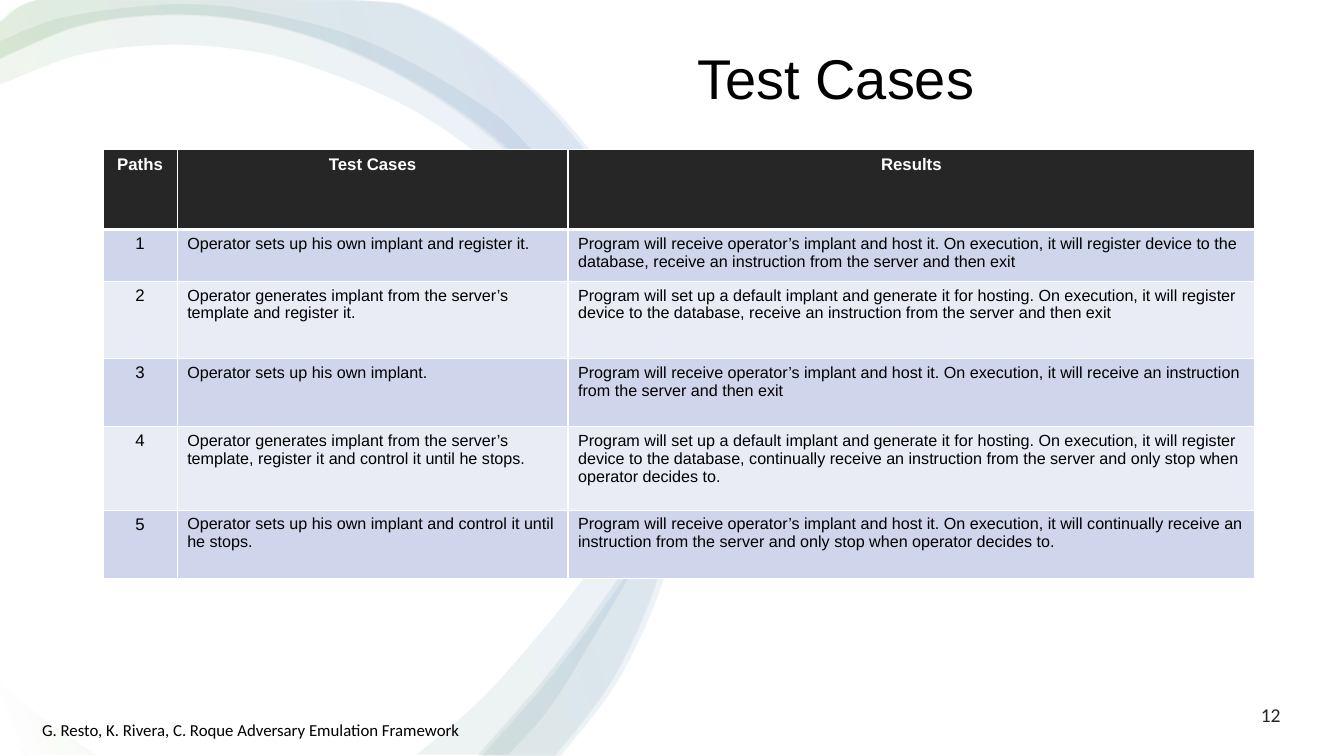
"""Build the test cases slide: a results table over pale curved ribbons."""
from lxml.etree import SubElement
from pptx import Presentation
from pptx.dml.color import RGBColor
from pptx.enum.shapes import MSO_SHAPE
from pptx.enum.text import MSO_ANCHOR, MSO_AUTO_SIZE, PP_ALIGN
from pptx.oxml.ns import qn
from pptx.util import Pt

WHITE = RGBColor(0xFF, 0xFF, 0xFF)
BLACK = RGBColor(0x00, 0x00, 0x00)
CHARCOAL = RGBColor(0x26, 0x26, 0x26)
BLUE_BAND = RGBColor(0xCF, 0xD5, 0xEA)
PALE_BAND = RGBColor(0xE9, 0xEB, 0xF5)
GREEN = RGBColor(0x70, 0xAD, 0x47)
BLUE = RGBColor(0x44, 0x72, 0xC4)

SLIDE_WIDTH, SLIDE_HEIGHT = 960, 540
TITLE = "Test Cases"
FOOTER = "G. Resto, K. Rivera, C. Roque Adversary Emulation Framework"
PAGE_NUMBER = "12"
HEADER = ("Paths", "Test Cases", "Results")
CASES = [
    ("Operator sets up his own implant and register it.",
     "Program will receive operator’s implant and host it. On execution, it will register device to the "
     "database, receive an instruction from the server and then exit"),
    ("Operator generates implant from the server’s template and register it.",
     "Program will set up a default implant and generate it for hosting. On execution, it will register "
     "device to the database, receive an instruction from the server and then exit"),
    ("Operator sets up his own implant.",
     "Program will receive operator’s implant and host it. On execution, it will receive an instruction "
     "from the server and then exit"),
    ("Operator generates implant from the server’s template, register it and control it until he stops.",
     "Program will set up a default implant and generate it for hosting. On execution, it will register "
     "device to the database, continually receive an instruction from the server and only stop when "
     "operator decides to."),
    ("Operator sets up his own implant and control it until he stops.",
     "Program will receive operator’s implant and host it. On execution, it will continually receive an "
     "instruction from the server and only stop when operator decides to."),
]
COLUMN_WIDTHS = (53, 279.2, 490.5)
ROW_HEIGHTS = (56.9, 37.1, 55.2, 48.6, 59.8, 48.6)

GRADIENT_STOPS = ((2, WHITE), (16, GREEN), (85, BLUE), (100, WHITE))
RIBBON_OPACITY = 10
INNER_RIBBON = {
    "outer": [(0, 29.5), (47, 12), (122, 3), (166, 5), (254, 26.5), (333, 68), (379, 107),
              (449, 203), (468, 260), (474.5, 320), (464, 380), (421, 459), (390, 508), (362, 539)],
    "inner": [(0, 60.5), (54, 40), (108, 32.5), (163, 34.5), (217, 46), (293.5, 78), (361, 126),
              (399, 167), (428.5, 213), (448.5, 264), (456.5, 320), (443.5, 371.5), (413, 417),
              (377, 461.5), (340, 502), (296.5, 539)],
    "corner": [(0, 487.5), (31, 512.5), (68.5, 539), (0, 539)],
}
OUTER_RIBBON = {
    "outer": [(0, 16), (30, 0), (115, 0), (200, 0), (283.5, 3), (365, 53), (429, 124.5),
              (470.5, 212), (485.5, 312), (473.5, 399.5), (440, 481), (396.5, 540)],
    "inner": [(0, 42.5), (55.5, 19.5), (112.5, 11.5), (169, 14.5), (224.5, 28), (277, 50.5),
              (326, 80.5), (371.5, 118), (410.5, 162), (440.5, 212.5), (461, 268.5), (467.5, 328.5),
              (456, 386), (425, 436.5), (388, 485.5), (340.5, 540)],
    "corner": [(0, 523.5), (20, 540), (0, 540)],
}
RIBBONS = ((INNER_RIBBON, 1), (OUTER_RIBBON, 1), (OUTER_RIBBON, 1.01))


def round_edge(nodes):
    """Turn the straight segments between an edge's nodes into smooth curves."""
    points = [(int(node[0].get("x")), int(node[0].get("y"))) for node in nodes]
    padded = [points[0], *points, points[-1]]
    for node, a, b, c, d in zip(nodes[1:], padded, padded[1:], padded[2:], padded[3:]):
        first = [q + (r - p) / 6 for p, q, r in zip(a, b, c)]
        second = [r - (s - q) / 6 for q, r, s in zip(b, c, d)]
        curve = node.makeelement(qn("a:cubicBezTo"))
        for x, y in (first, second, c):
            SubElement(curve, qn("a:pt"), x=str(round(x)), y=str(max(round(y), 0)))
        node.getparent().replace(node, curve)


def add_ribbon(shapes, ribbon, stretch):
    """Draw one curved ribbon with its corner piece."""
    outer_count = len(ribbon["outer"])
    outlines = [
        [(Pt(x * stretch), Pt(y)) for x, y in outline]
        for outline in (ribbon["outer"] + ribbon["inner"][::-1], ribbon["corner"])
    ]
    band, corner = outlines
    builder = shapes.build_freeform(*band[0], scale=1.0)
    builder.add_line_segments(band[1:], close=True)
    builder.move_to(*corner[0])
    builder.add_line_segments(corner[1:], close=True)
    shape = builder.convert_to_shape()
    nodes = list(next(shape._element.iter(qn("a:path"))))[:len(band)]
    round_edge(nodes[:outer_count])
    round_edge(nodes[outer_count:])
    shape.shadow.inherit = False
    shape.line.fill.background()
    shape.fill.gradient()
    shape.fill.gradient_angle = 20
    stop_list = next(shape._element.iter(qn("a:gsLst")))
    for stop in list(stop_list):
        stop_list.remove(stop)
    for position, color in GRADIENT_STOPS:
        stop = SubElement(stop_list, qn("a:gs"), pos=str(position * 1000))
        stop_color = SubElement(stop, qn("a:srgbClr"), val=str(color))
        SubElement(stop_color, qn("a:alpha"), val=str(RIBBON_OPACITY * 1000))


def format_text(paragraph, text, font_name, size, color, bold=False):
    """Write a paragraph and set its font."""
    paragraph.text = text
    font = paragraph.font
    font.name, font.size, font.bold = font_name, Pt(size), bold
    font.color.rgb = color


def add_label(slide, text, left, top, width, height, size, color, wrap):
    """Add a small line of text at the foot of the slide."""
    frame = slide.shapes.add_textbox(Pt(left), Pt(top), Pt(width), Pt(height)).text_frame
    frame.word_wrap = wrap
    frame.auto_size = MSO_AUTO_SIZE.SHAPE_TO_FIT_TEXT
    format_text(frame.paragraphs[0], text, "Calibri", size, color)


def set_borders(cell, top_width, bottom_width):
    """Give a cell white borders."""
    properties = cell._tc.get_or_add_tcPr()
    widths = (("lnL", 1), ("lnR", 1), ("lnT", top_width), ("lnB", bottom_width))
    for index, (side, width) in enumerate(widths):
        border = properties.makeelement(qn(f"a:{side}"), {"w": str(Pt(width))})
        fill = SubElement(border, qn("a:solidFill"))
        SubElement(fill, qn("a:srgbClr"), val=str(WHITE))
        properties.insert(index, border)


def add_case_table(slide):
    """Add the table of test cases."""
    rows = [HEADER] + [(str(number), *case) for number, case in enumerate(CASES, 1)]
    table = slide.shapes.add_table(
        len(rows), len(HEADER), Pt(73.6), Pt(107), Pt(sum(COLUMN_WIDTHS)), Pt(sum(ROW_HEIGHTS))
    ).table
    table.first_row = table.horz_banding = False
    for column, width in zip(table.columns, COLUMN_WIDTHS):
        column.width = Pt(width)
    for row_index, (texts, height) in enumerate(zip(rows, ROW_HEIGHTS)):
        table.rows[row_index].height = Pt(height)
        is_header = row_index == 0
        band = CHARCOAL if is_header else (PALE_BAND, BLUE_BAND)[row_index % 2]
        for column_index, text in enumerate(texts):
            cell = table.cell(row_index, column_index)
            cell.fill.solid()
            cell.fill.fore_color.rgb = band
            set_borders(cell, 3 if row_index == 1 else 1, 3 if is_header else 1)
            centered = is_header or column_index == 0
            paragraph = cell.text_frame.paragraphs[0]
            paragraph.alignment = PP_ALIGN.CENTER if centered else PP_ALIGN.LEFT
            format_text(paragraph, text, "Arial", 12 if centered else 11.5,
                        WHITE if is_header else BLACK, is_header)


def main():
    """Build and save the slide."""
    presentation = Presentation()
    presentation.slide_width, presentation.slide_height = Pt(SLIDE_WIDTH), Pt(SLIDE_HEIGHT)
    slide = presentation.slides.add_slide(presentation.slide_layouts[5])

    backdrop = slide.shapes.add_shape(MSO_SHAPE.RECTANGLE, 0, 0, Pt(SLIDE_WIDTH), Pt(SLIDE_HEIGHT))
    backdrop.shadow.inherit = False
    backdrop.fill.solid()
    backdrop.fill.fore_color.rgb = WHITE
    backdrop.line.fill.background()
    title = slide.shapes.title
    title._element.addprevious(backdrop._element)

    title.left, title.top, title.width, title.height = Pt(491), Pt(33), Pt(379), Pt(50.5)
    title.text_frame.vertical_anchor = MSO_ANCHOR.MIDDLE
    paragraph = title.text_frame.paragraphs[0]
    paragraph.alignment = PP_ALIGN.LEFT
    paragraph.line_spacing = 0.9
    format_text(paragraph, TITLE, "Arial", 40, BLACK)

    ribbon_group = slide.shapes.add_group_shape()
    for ribbon, stretch in RIBBONS:
        add_ribbon(ribbon_group.shapes, ribbon, stretch)

    add_label(slide, PAGE_NUMBER, 893.5, 498.5, 28.8, 24, 14, CHARCOAL, False)
    add_label(slide, FOOTER, 23, 510.5, 584, 21.6, 12, BLACK, True)
    add_case_table(slide)
    presentation.save("out.pptx")


if __name__ == "__main__":
    main()
